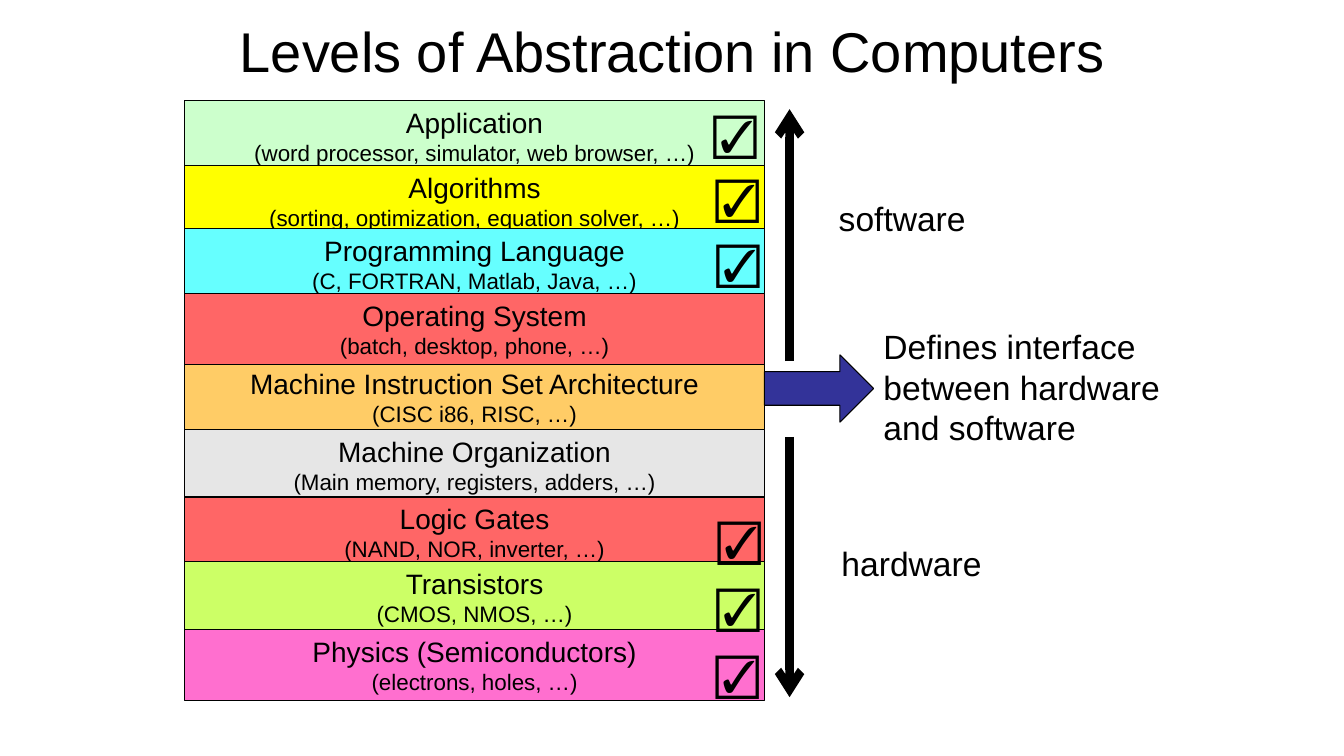
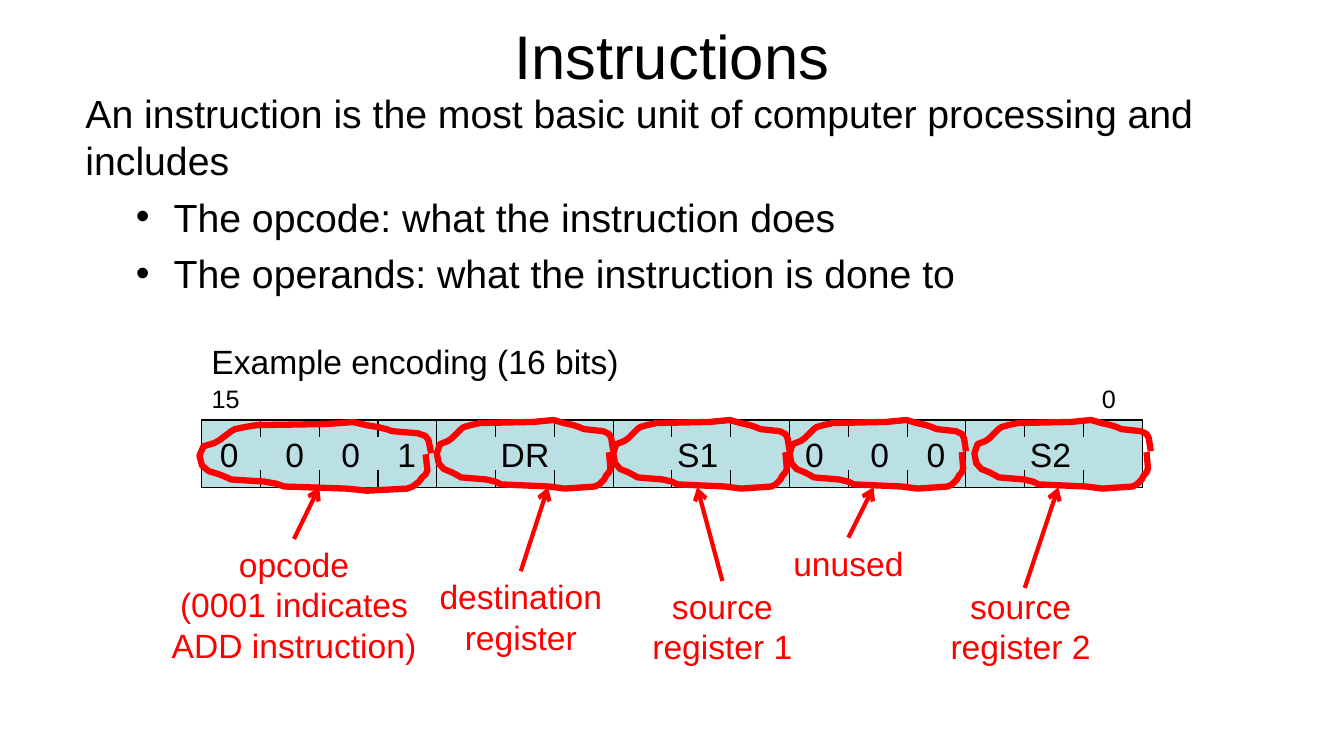
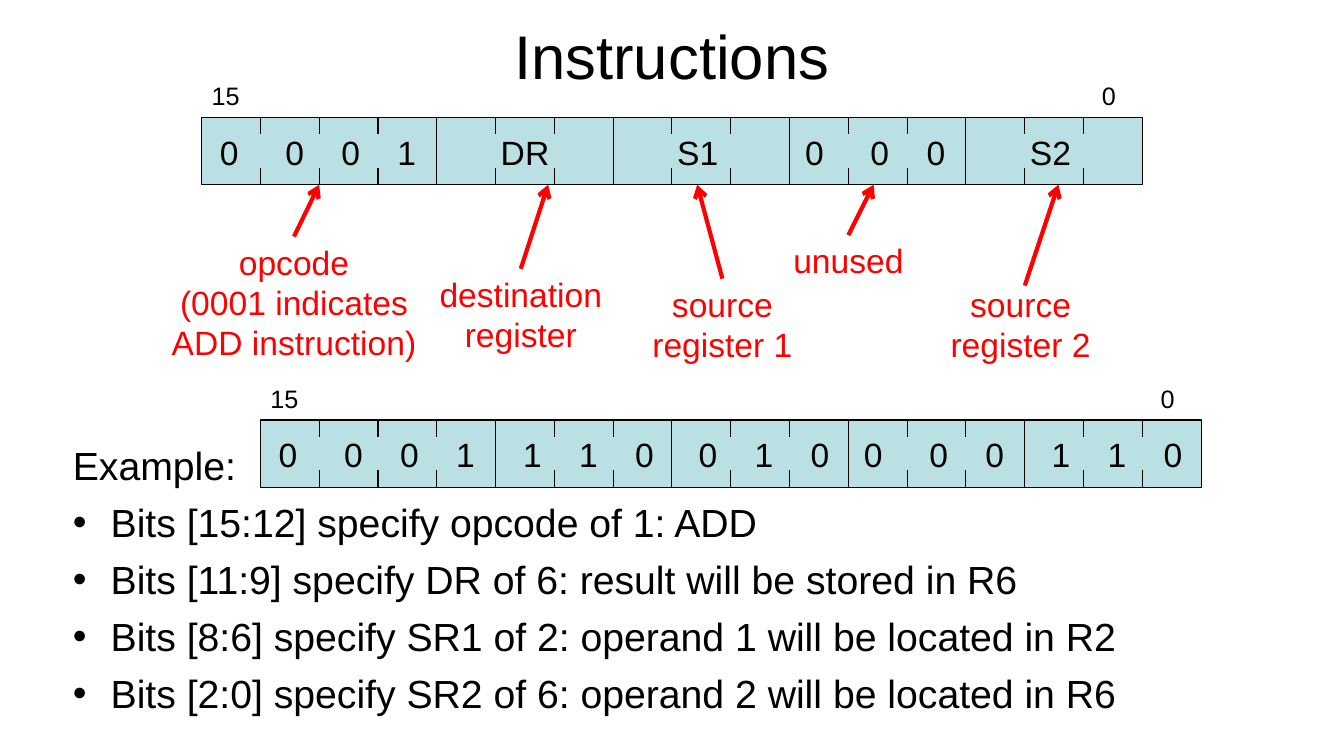
from lxml import etree
from pptx import Presentation
from pptx.dml.color import RGBColor as RGB
from pptx.enum.shapes import MSO_CONNECTOR as LINK, MSO_SHAPE as KIND
from pptx.enum.text import MSO_ANCHOR as ANCHOR, PP_ALIGN as ALIGN
from pptx.oxml.ns import qn
from pptx.util import Pt

FONT = "Arial"
HEX = {
    "black": "000000", "red": "FF0000", "navy": "333399", "teal": "BBE0E3",
    "mint": "CCFFCC", "yellow": "FFFF00", "cyan": "66FFFF", "coral": "FF6666",
    "orange": "FFCC66", "gray": "E6E6E6", "lime": "CCFF66", "pink": "FF6FCF",
}
INK = {name: RGB.from_string(code) for name, code in HEX.items()}


def write(shape, lines, size, color="black", align=ALIGN.LEFT):
    """Fill a shape with one paragraph per line and return its frame."""
    frame = shape.text_frame
    frame.word_wrap = True
    frame.text = "\n".join(lines)
    for par in frame.paragraphs:
        par.alignment = align
        par.font.name = FONT
        par.font.size = Pt(size)
        par.font.color.rgb = INK[color]
    return frame


def draw(slide, ends, width, color="black", arrow=False):
    """Draw a straight line, with an arrowhead at its end if asked."""
    link = slide.shapes.add_connector(LINK.STRAIGHT, *map(Pt, ends))
    link.line.width = Pt(width)
    link.line.color.rgb = INK[color]
    if arrow:
        tip = etree.SubElement(link.line._get_or_add_ln(), qn("a:tailEnd"))
        tip.set("type", "arrow")
    etree.SubElement(link._element.spPr, qn("a:effectLst"))


deck = Presentation()
deck.slide_width, deck.slide_height = Pt(960), Pt(540)

# Slides and their titles
slides = []
for title, size, box in [
    ("Levels of Abstraction in Computers", 40, (120, 0, 720, 72)),
    ("Instructions", 44, (174, -6, 612, 90)),
    ("Instructions", 44, (174, -6, 612, 90)),
]:
    slide = deck.slides.add_slide(deck.slide_layouts[6])
    head = slide.shapes.add_textbox(*map(Pt, box))
    frame = write(head, [title], size, align=ALIGN.CENTER)
    frame.vertical_anchor = ANCHOR.MIDDLE
    slides.append(slide)
levels, coding, sample = slides

# Stack of levels; the operating system lies on top of its neighbours
for top, color, name, note in [
    (72, "mint", "Application", "(word processor, simulator, web browser, …)"),
    (118, "yellow", "Algorithms", "(sorting, optimization, equation solver, …)"),
    (163.5, "cyan", "Programming Language", "(C, FORTRAN, Matlab, Java, …)"),
    (258, "orange", "Machine Instruction Set Architecture", "(CISC i86, RISC, …)"),
    (306.5, "gray", "Machine Organization", "(Main memory, registers, adders, …)"),
    (355, "coral", "Logic Gates", "(NAND, NOR, inverter, …)"),
    (401, "lime", "Transistors", "(CMOS, NMOS, …)"),
    (449.5, "pink", "Physics (Semiconductors)", "(electrons, holes, …)"),
    (209.5, "coral", "Operating System", "(batch, desktop, phone, …)"),
]:
    bar = levels.shapes.add_shape(KIND.RECTANGLE, Pt(132), Pt(top), Pt(414), Pt(51))
    bar.shadow.inherit = False
    bar.fill.solid()
    bar.fill.fore_color.rgb = INK[color]
    bar.line.color.rgb = INK["black"]
    bar.line.width = Pt(0.75)
    frame = write(bar, [name, note], 20, align=ALIGN.CENTER)
    frame.vertical_anchor = ANCHOR.TOP
    frame.paragraphs[1].font.size = Pt(16)

# Block arrow, the two ranges and their labels
block = levels.shapes.add_shape(KIND.RIGHT_ARROW, Pt(546), Pt(253.5), Pt(78), Pt(48))
block.shadow.inherit = False
block.fill.solid()
block.fill.fore_color.rgb = INK["navy"]
block.line.color.rgb = INK["black"]
block.line.width = Pt(0.75)
draw(levels, (564, 258, 564, 78), 6, arrow=True)
draw(levels, (564, 312, 564, 498), 6, arrow=True)
for label, box in [
    ("Defines interface between hardware and software", (624, 229.5, 222, 94)),
    ("software", (592, 137.5, 120, 36)),
    ("hardware", (594, 384, 130, 36)),
]:
    write(levels.shapes.add_textbox(*map(Pt, box)), [label], 24)

# Check marks
for left, top in [(502, 72), (503.5, 118), (504, 164),
                  (505, 362), (504, 409.5), (503.5, 458)]:
    mark = levels.shapes.add_textbox(Pt(left), Pt(top), Pt(43), Pt(46))
    write(mark, ["☑"], 32)

# Body text: an opening line, then bullets
for slide, box, indent, lines in [
    (coding, (54, 60, 858, 108), 63, [
        "An instruction is the most basic unit of computer processing and includes",
        "The opcode: what the instruction does",
        "The operands: what the instruction is done to"]),
    (sample, (45, 312, 858, 204), 27, [
        "Example:",
        "Bits [15:12] specify opcode of 1: ADD",
        "Bits [11:9] specify DR of 6: result will be stored in R6",
        "Bits [8:6] specify SR1 of 2: operand 1 will be located in R2",
        "Bits [2:0] specify SR2 of 6: operand 2 will be located in R6"]),
]:
    frame = write(slide.shapes.add_textbox(*map(Pt, box)), lines, 28)
    for par in frame.paragraphs[1:]:
        par.space_before = Pt(7)
        props = par._p.get_or_add_pPr()
        props.set("marL", str(Pt(indent)))
        props.set("indent", str(Pt(-27)))
        etree.SubElement(props, qn("a:buFont")).set("typeface", FONT)
        etree.SubElement(props, qn("a:buChar")).set("char", "•")
        # Schema order: bullets come before the default run properties
        props.append(props.find(qn("a:defRPr"))) if props.find(qn("a:defRPr")) is not None else None

caption = coding.shapes.add_textbox(Pt(144), Pt(240), Pt(340), Pt(36))
write(caption, ["Example encoding (16 bits)"], 24)

# Rows of 16 bits; each field has its text, offset and first tab stop
CELL, HIGH, TICK = 42, 48, 12
FIXED = [("0001", 6, 46.7), ("000", 424, 46.7)]
NAMED = FIXED + [("DR", 206.6, 0), ("S1", 332.6, 0), ("S2", 584.6, 0)]
VALUED = FIXED + [("110", 180.6, 40), ("010", 306, 40), ("110", 558, 40)]
for slide, left, top, fields in [
    (coding, 144, 300, NAMED),
    (sample, 144, 84, NAMED),
    (sample, 186, 300, VALUED),
]:
    row = slide.shapes.add_shape(
        KIND.RECTANGLE, Pt(left), Pt(top), Pt(16 * CELL), Pt(HIGH))
    row.shadow.inherit = False
    row.fill.solid()
    row.fill.fore_color.rgb = INK["teal"]
    row.line.color.rgb = INK["black"]
    row.line.width = Pt(0.75)
    for bit in range(1, 16):
        x = left + bit * CELL
        if bit in (4, 7, 10, 13):
            spans = [(0, HIGH)]
        else:
            spans = [(0, TICK), (HIGH - TICK, HIGH)]
        for start, end in spans:
            draw(slide, (x, top + start, x, top + end), 0.75)
    for word, shift, first in fields:
        field = slide.shapes.add_textbox(
            Pt(left + shift), Pt(top + 6.5), Pt(CELL * len(word)), Pt(36))
        if not first:
            write(field, [word], 24)
            continue
        par = write(field, ["\t".join(word)], 24).paragraphs[0]
        props = par._p.get_or_add_pPr()
        tabs = etree.Element(qn("a:tabLst"))
        props.insert(0, tabs)
        for n in range(len(word) - 1):
            stop = etree.SubElement(tabs, qn("a:tab"))
            stop.set("pos", str(Pt(first + 40 * n)))
            stop.set("algn", "l")
    for word, shift in [("15", 0), ("0", 636)]:
        index = slide.shapes.add_textbox(
            Pt(left + shift), Pt(top - 30), Pt(40), Pt(29))
        write(index, [word], 18)

# Hand-drawn loops around the fields, stretched to each width
LOOP = [
    (126, 22.3), (124.6, 13), (123, 10), (118.8, 8), (105, 6.5), (101.5, 5),
    (97.2, 3.6), (90.7, 2.2), (83.5, 0), (69, 1.4), (31, 2.2), (24.5, 3.6),
    (19.4, 5), (17.3, 6.5), (10.8, 13), (8, 15), (2.2, 17.3), (0, 24),
    (1.4, 31), (5, 35), (10.8, 37.4), (15, 39.6), (17.3, 41), (35.3, 42.5),
    (41.8, 44), (46, 46), (80, 47.5), (91.4, 49), (113, 47.5), (116, 46),
    (119.5, 42.5), (121, 39.6), (123, 37.4), (124, 34.6), (123, 23),
]
for left, top, wide in [(142.5, 301.5, 165.5), (564, 300, 126), (438, 300, 126),
                        (312, 300, 126), (696, 300, 126)]:
    dots = [(Pt(left + x * wide / 126), Pt(top + y)) for x, y in LOOP]
    pen = coding.shapes.build_freeform(*dots[0])
    pen.add_line_segments(dots[1:], close=False)
    loop = pen.convert_to_shape()
    loop.shadow.inherit = False
    loop.fill.background()
    loop.line.color.rgb = INK["red"]
    loop.line.width = Pt(4.5)

# Red callouts below the named rows
for slide, top in [(coding, 300), (sample, 84)]:
    for lines, left, drop, wide, start, end in [
        (["opcode", "(0001 indicates ADD instruction)"], 108, 85, 204, (210, 85), 228),
        (["unused"], 504, 84, 204, (606, 84), 624),
        (["source register 1"], 438, 115, 156, (516, 115), 498),
        (["destination", "register"], 270, 108, 204, (372, 108), 391.5),
        (["source register 2"], 666, 115, 126, (732, 120), 756),
    ]:
        note = slide.shapes.add_textbox(Pt(left), Pt(top + drop), Pt(wide), Pt(65))
        write(note, lines, 24, "red", ALIGN.CENTER)
        draw(slide, (start[0], top + start[1], end, top + HIGH), 3, "red", True)

deck.save("out.pptx")
